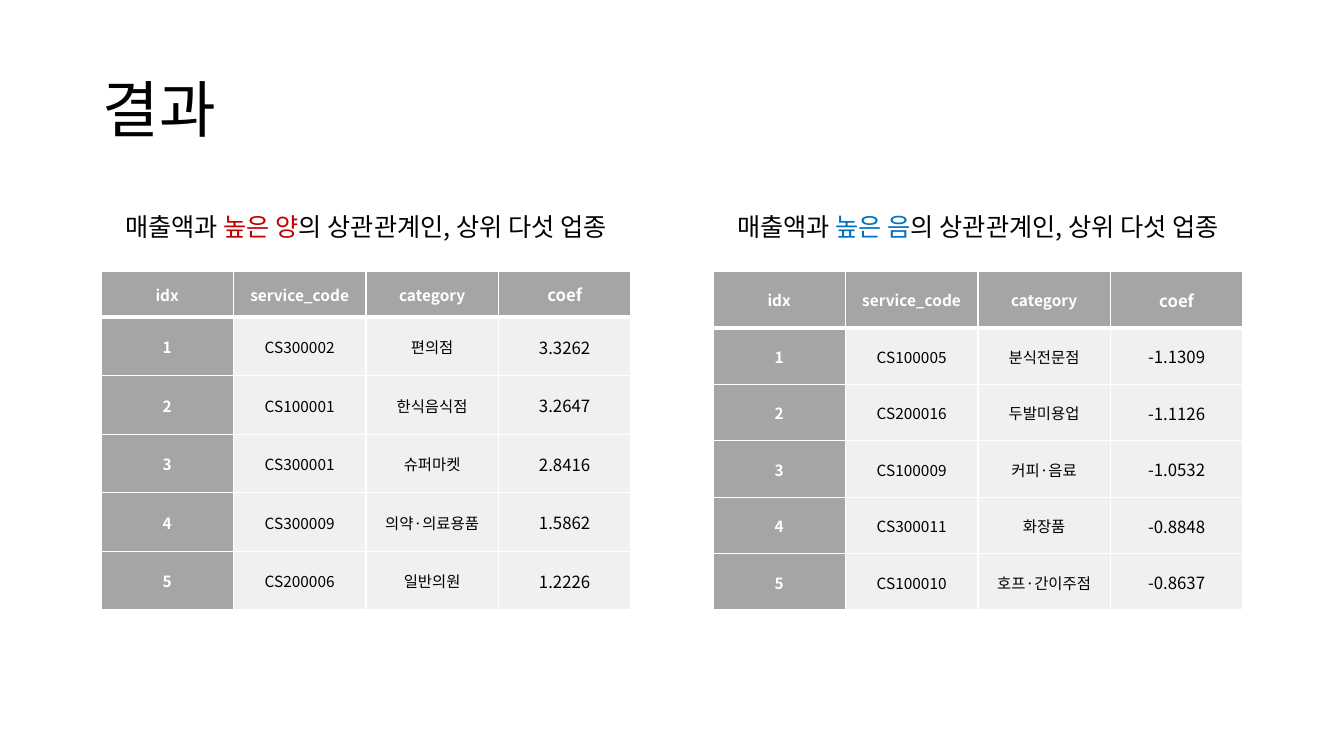
from dataclasses import dataclass

from lxml.etree import SubElement
from pptx import Presentation
from pptx.dml.color import RGBColor as RGB
from pptx.enum.text import MSO_ANCHOR as Anchor, MSO_AUTO_SIZE as AutoSize, PP_ALIGN as Align
from pptx.oxml.ns import qn
from pptx.util import Pt

EMU_PER_PX = 914400 / 100.8


@dataclass(frozen=True)
class Theme:
    font: str = "Noto Sans CJK KR"
    text: str = "000000"
    white: str = "FFFFFF"
    header: str = "A5A5A5"
    body: str = "F0F0F0"
    positive: str = "C00000"
    negative: str = "0070C0"
    title_size: int = 44
    caption_size: int = 18
    cell_size: int = 11
    coef_size: int = 12
    thin_line: int = 1
    header_line: int = 3


def px(value):
    return round(value * EMU_PER_PX)


class SlideBuilder:
    def __init__(self, presentation, theme):
        self.theme = theme
        self.slide = presentation.slides.add_slide(presentation.slide_layouts[6])

    def style(self, paragraph, size, color, bold=False):
        font = paragraph.font
        font.name = self.theme.font
        font.size = Pt(size)
        font.bold = bold
        font.color.rgb = RGB.from_string(color)
        properties = paragraph._p.pPr.find(qn("a:defRPr"))
        SubElement(properties, qn("a:ea"), typeface=self.theme.font)

    def text_box(self, left, top, width, height):
        shape = self.slide.shapes.add_textbox(*map(px, (left, top, width, height)))
        shape.text_frame.word_wrap = True
        return shape.text_frame

    def title(self, text, left, top, width, height):
        frame = self.text_box(left, top, width, height)
        frame.vertical_anchor = Anchor.MIDDLE
        paragraph = frame.paragraphs[0]
        paragraph.text = text
        paragraph.line_spacing = 0.9
        self.style(paragraph, self.theme.title_size, self.theme.text)

    def caption(self, highlight, color, left, top, width, height):
        frame = self.text_box(left, top, width, height)
        frame.auto_size = AutoSize.SHAPE_TO_FIT_TEXT
        paragraph = frame.paragraphs[0]
        paragraph.alignment = Align.CENTER
        self.style(paragraph, self.theme.caption_size, self.theme.text)
        for text in ("매출액과 ", highlight, "의 상관관계인, 상위 다섯 업종"):
            run = paragraph.add_run()
            run.text = text
            if text == highlight:
                run.font.color.rgb = RGB.from_string(color)

    def borders(self, cell, top, bottom):
        properties = cell._tc.get_or_add_tcPr()
        thin = self.theme.thin_line
        for side, width in (("L", thin), ("R", thin), ("T", top), ("B", bottom)):
            line = SubElement(properties, qn(f"a:ln{side}"), w=str(Pt(width)))
            fill = SubElement(line, qn("a:solidFill"))
            SubElement(fill, qn("a:srgbClr"), val=self.theme.white)

    def cell(self, cell, text, row, column, is_coef):
        theme = self.theme
        is_heading = row == 0 or column == 0
        self.borders(
            cell,
            theme.header_line if row == 1 else theme.thin_line,
            theme.header_line if row == 0 else theme.thin_line,
        )
        cell.fill.solid()
        cell.fill.fore_color.rgb = RGB.from_string(theme.header if is_heading else theme.body)
        cell.margin_left = cell.margin_right = cell.margin_top = px(1)
        cell.margin_bottom = 0
        cell.vertical_anchor = Anchor.MIDDLE
        paragraph = cell.text_frame.paragraphs[0]
        paragraph.text = text
        paragraph.alignment = Align.CENTER
        size = theme.coef_size if is_coef else theme.cell_size
        self.style(paragraph, size, theme.white if is_heading else theme.text, is_heading)

    def table(self, rows, left, top, width, height, header_height):
        row_count, column_count = len(rows), len(rows[0])
        bounds = map(px, (left, top, width, height))
        table = self.slide.shapes.add_table(row_count, column_count, *bounds).table
        table.horz_banding = False
        for column in table.columns:
            column.width = px(width / column_count)
        for index, row in enumerate(table.rows):
            body_height = (height - header_height) / (row_count - 1)
            row.height = px(body_height if index else header_height)
        for row, values in enumerate(rows):
            for column, text in enumerate(values):
                is_coef = column == column_count - 1
                self.cell(table.cell(row, column), text, row, column, is_coef)


HEADINGS = ("idx", "service_code", "category", "coef")
POSITIVE = (
    ("CS300002", "편의점", "3.3262"),
    ("CS100001", "한식음식점", "3.2647"),
    ("CS300001", "슈퍼마켓", "2.8416"),
    ("CS300009", "의약·의료용품", "1.5862"),
    ("CS200006", "일반의원", "1.2226"),
)
NEGATIVE = (
    ("CS100005", "분식전문점", "-1.1309"),
    ("CS200016", "두발미용업", "-1.1126"),
    ("CS100009", "커피·음료", "-1.0532"),
    ("CS300011", "화장품", "-0.8848"),
    ("CS100010", "호프·간이주점", "-0.8637"),
)


def main():
    theme = Theme()
    presentation = Presentation()
    presentation.slide_width = px(1344)
    presentation.slide_height = px(756)
    builder = SlideBuilder(presentation, theme)
    builder.title("결과", 93, 40, 1159, 146)
    panels = (
        (101, "높은 양", theme.positive, POSITIVE, 46),
        (713, "높은 음", theme.negative, NEGATIVE, 57),
    )
    for left, highlight, color, services, header_height in panels:
        ranked = [(str(rank), *service) for rank, service in enumerate(services, 1)]
        builder.table([HEADINGS, *ranked], left, 271, 530, 339, header_height)
        builder.caption(highlight, color, left - 24, 206, 578, 40)
    presentation.save("out.pptx")


if __name__ == "__main__":
    main()
